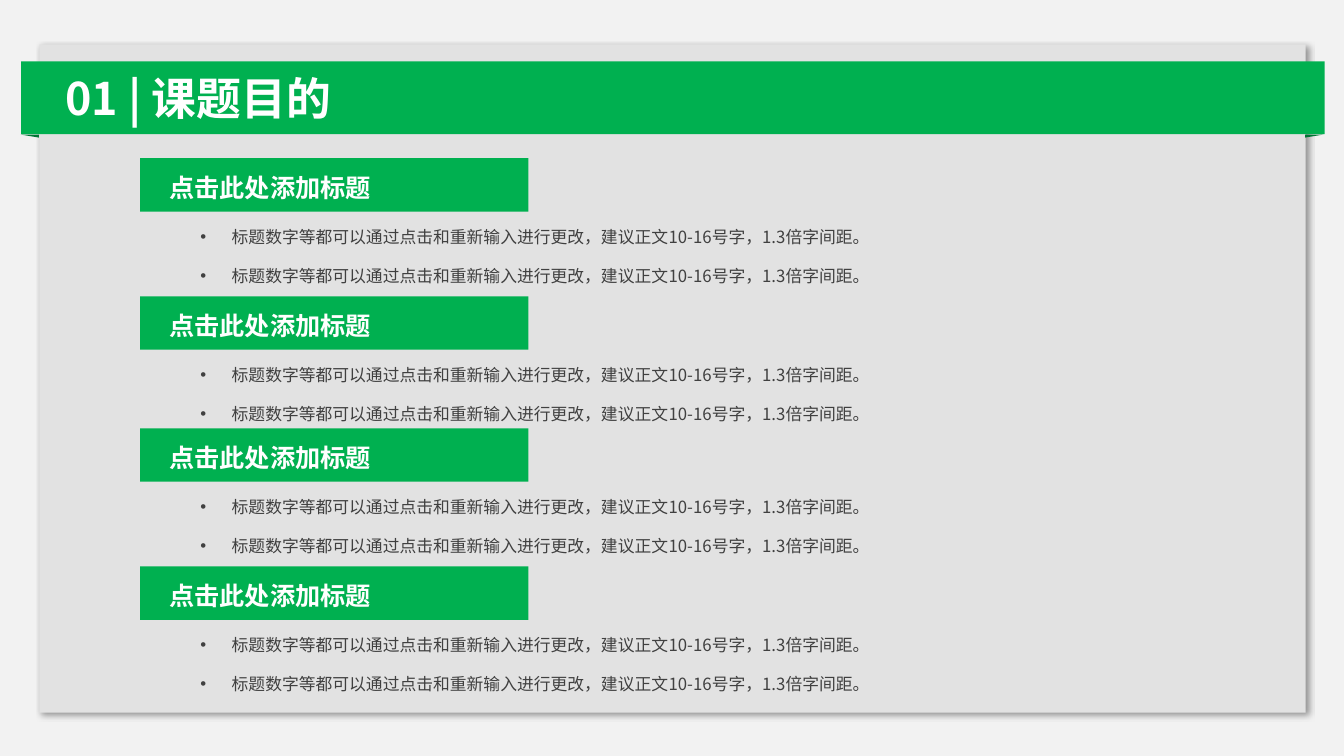
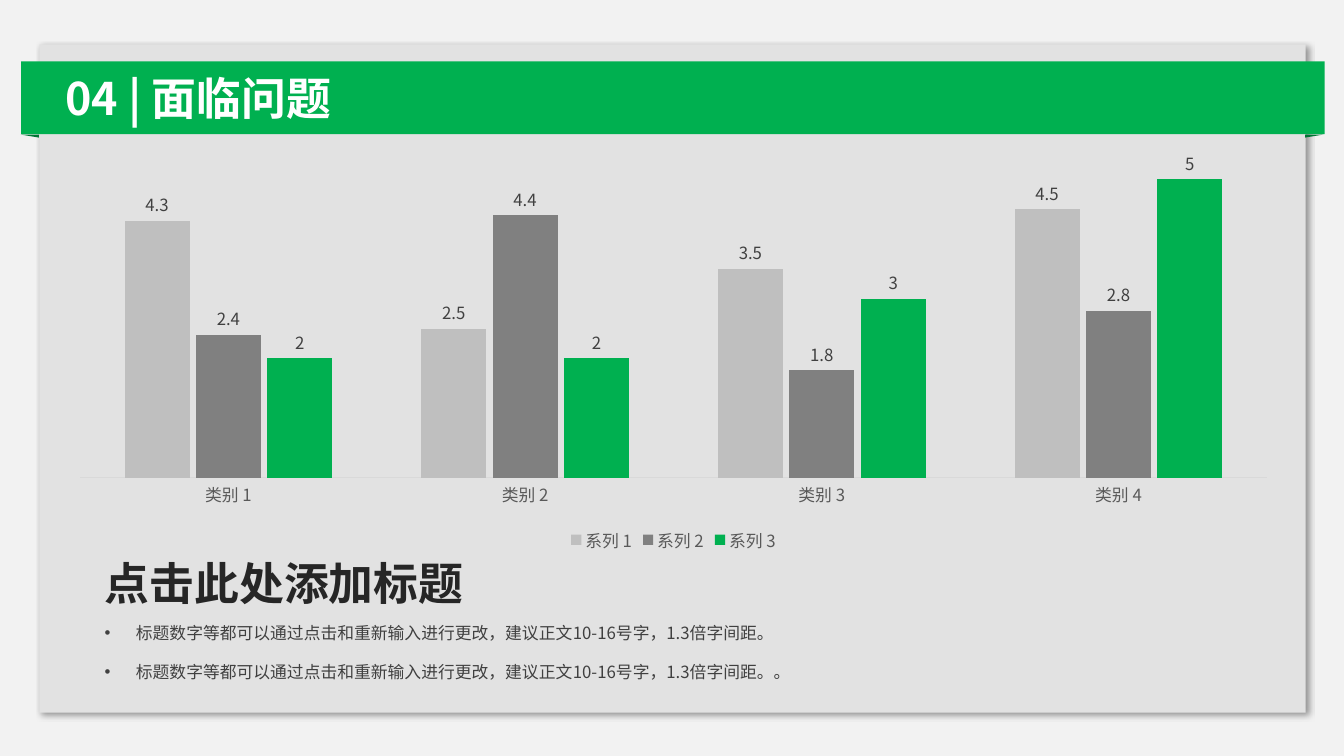
from lxml import etree
from pptx import Presentation
from pptx.chart.data import CategoryChartData
from pptx.dml.color import RGBColor
from pptx.enum.chart import XL_CHART_TYPE, XL_LABEL_POSITION, XL_LEGEND_POSITION, XL_TICK_MARK
from pptx.enum.shapes import MSO_SHAPE
from pptx.enum.text import MSO_ANCHOR, MSO_AUTO_SIZE
from pptx.oxml.ns import qn
from pptx.util import Inches, Pt

RECTANGLE = MSO_SHAPE.RECTANGLE
TRIANGLE = MSO_SHAPE.ISOSCELES_TRIANGLE
TOP = MSO_ANCHOR.TOP
FIT_SHAPE = MSO_AUTO_SIZE.SHAPE_TO_FIT_TEXT
COLUMNS = XL_CHART_TYPE.COLUMN_CLUSTERED
OUTSIDE_END = XL_LABEL_POSITION.OUTSIDE_END
LEGEND_BOTTOM = XL_LEGEND_POSITION.BOTTOM
NO_TICKS = XL_TICK_MARK.NONE

BACKGROUND = RGBColor(0xF2, 0xF2, 0xF2)
PANEL = RGBColor(0xE2, 0xE2, 0xE2)
GREEN = RGBColor(0x00, 0xB0, 0x50)
DARK_GREEN = RGBColor(0x00, 0x76, 0x35)
WHITE = RGBColor(0xFF, 0xFF, 0xFF)
BLACK = RGBColor(0x00, 0x00, 0x00)
HEADING = RGBColor(0x26, 0x26, 0x26)
BODY = RGBColor(0x40, 0x40, 0x40)
AXIS_TEXT = RGBColor(0x59, 0x59, 0x59)
AXIS_LINE = RGBColor(0xD9, 0xD9, 0xD9)
LIGHT_GRAY = RGBColor(0xBF, 0xBF, 0xBF)
GRAY = RGBColor(0x80, 0x80, 0x80)

FONT = "Noto Sans CJK SC"
HEADING_TEXT = "点击此处添加标题"
BODY_TEXT = "标题数字等都可以通过点击和重新输入进行更改，建议正文10-16号字，1.3倍字间距。"
SECTION_TOPS = (1.57, 2.94, 4.25, 5.62)


def style_font(font, size, color, bold=False):
    font.size = Pt(size)
    font.bold = bold
    font.color.rgb = color
    font.name = FONT


def add_bullet(paragraph, indent):
    properties = paragraph._p.get_or_add_pPr()
    properties.set("marL", str(Inches(indent)))
    properties.set("indent", str(-Inches(indent)))
    etree.SubElement(properties, qn("a:buFont"), typeface="Arial")
    etree.SubElement(properties, qn("a:buChar"), char="•")


def write_text(frame, lines, size=12, color=BODY, bold=False,
               line_spacing=None, space_before=0, bullet_indent=None):
    for index, line in enumerate(lines):
        paragraph = frame.paragraphs[0] if index == 0 else frame.add_paragraph()
        if bullet_indent:
            add_bullet(paragraph, bullet_indent)
        if line_spacing:
            paragraph.line_spacing = line_spacing
        if index:
            paragraph.space_before = Pt(space_before)
        run = paragraph.add_run()
        run.text = line
        style_font(run.font, size, color, bold)
        etree.SubElement(run._r.get_or_add_rPr(), qn("a:ea"), typeface=FONT)


class Deck:
    def __init__(self):
        self.presentation = Presentation()
        self.presentation.slide_width = Inches(13.33)
        self.presentation.slide_height = Inches(7.5)
        self.slide = None

    def add_slide(self, title):
        self.slide = self.presentation.slides.add_slide(self.presentation.slide_layouts[6])
        fill = self.slide.background.fill
        fill.solid()
        fill.fore_color.rgb = BACKGROUND
        self.panel()
        self.ribbon()
        self.text([title], 0.55, 0.65, 3.1, 0.64, wrap=False, size=32, color=WHITE, bold=True)

    def shape(self, left, top, width, height, color, kind=RECTANGLE, group=None):
        shapes = (group or self.slide).shapes
        shape = shapes.add_shape(kind, Inches(left), Inches(top), Inches(width), Inches(height))
        shape.shadow.inherit = False
        shape.fill.solid()
        shape.fill.fore_color.rgb = color
        shape.line.fill.background()
        return shape

    def panel(self):
        panel = self.shape(0.39, 0.44, 12.56, 6.63, PANEL)
        effects = panel._element.spPr.find(qn("a:effectLst"))
        shadow = etree.SubElement(effects, qn("a:outerShdw"), blurRad=str(Pt(4)),
                                  dist=str(Pt(3)), dir="2700000", algn="tl", rotWithShape="0")
        color = etree.SubElement(shadow, qn("a:srgbClr"), val=str(BLACK))
        etree.SubElement(color, qn("a:alpha"), val="40000")

    def ribbon(self):
        group = self.slide.shapes.add_group_shape()
        self.shape(0.21, 0.61, 12.93, 0.72, GREEN, group=group)
        for left, rotation, apex in ((0.28, 270, 1), (13.02, 90, 0)):
            fold = self.shape(left, 1.26, 0.03, 0.18, DARK_GREEN, TRIANGLE, group)
            fold.rotation = rotation
            fold.adjustments[0] = apex

    def text(self, lines, left, top, width, height, wrap=True, **text_format):
        box = self.slide.shapes.add_textbox(Inches(left), Inches(top), Inches(width), Inches(height))
        frame = box.text_frame
        frame.word_wrap = wrap
        frame.auto_size = FIT_SHAPE
        frame.vertical_anchor = TOP
        write_text(frame, lines, **text_format)

    def bullets(self, lines, left, top, width, height):
        self.text(lines, left, top, width, height, line_spacing=1.5,
                  space_before=6, bullet_indent=0.31)

    def section(self, top):
        self.shape(1.39, top, 3.85, 0.53, GREEN)
        self.text([HEADING_TEXT], 1.58, top, 2.22, 0.46, wrap=False,
                  size=18, color=WHITE, bold=True, line_spacing=1.3)
        self.bullets([BODY_TEXT] * 2, 1.89, top + 0.53, 11.06, 0.76)

    def column_chart(self, categories, series, left, top, width, height):
        data = CategoryChartData()
        data.categories = categories
        for name, values, _ in series:
            data.add_series(name, values)
        chart = self.slide.shapes.add_chart(
            COLUMNS, Inches(left), Inches(top), Inches(width), Inches(height), data).chart
        style_font(chart.font, 10, BLACK)
        chart.has_title = False
        chart.has_legend = True
        chart.legend.position = LEGEND_BOTTOM
        chart.legend.include_in_layout = False
        style_font(chart.legend.font, 12, AXIS_TEXT)

        value_axis = chart.value_axis
        value_axis.visible = False
        value_axis.has_major_gridlines = False
        value_axis.minimum_scale = 0
        value_axis.maximum_scale = 6
        category_axis = chart.category_axis
        category_axis.major_tick_mark = NO_TICKS
        category_axis.format.line.color.rgb = AXIS_LINE
        category_axis.format.line.width = Pt(0.75)
        style_font(category_axis.tick_labels.font, 12, AXIS_TEXT)

        plot = chart.plots[0]
        plot.vary_by_categories = False
        plot.gap_width = 137
        plot.overlap = -10
        for column, (_, _, color) in zip(plot.series, series):
            column.format.fill.solid()
            column.format.fill.fore_color.rgb = color
            labels = column.data_labels
            labels.show_value = True
            labels.position = OUTSIDE_END
            style_font(labels.font, 12, BODY)


def main():
    deck = Deck()

    deck.add_slide("01 | 课题目的")
    for top in SECTION_TOPS:
        deck.section(top)

    deck.add_slide("04 | 面临问题")
    deck.text([HEADING_TEXT], 0.94, 5.3, 3.79, 0.73, wrap=False,
              size=32, color=HEADING, bold=True, line_spacing=1.3)
    deck.bullets([BODY_TEXT, BODY_TEXT + "。"], 0.94, 6.03, 11.86, 0.79)
    deck.column_chart(
        [f"类别 {number}" for number in range(1, 5)],
        [("系列 1", (4.3, 2.5, 3.5, 4.5), LIGHT_GRAY),
         ("系列 2", (2.4, 4.4, 1.8, 2.8), GRAY),
         ("系列 3", (2, 2, 3, 5), GREEN)],
        0.55, 1.1, 12.26, 4.42)

    deck.presentation.save("out.pptx")


if __name__ == "__main__":
    main()
